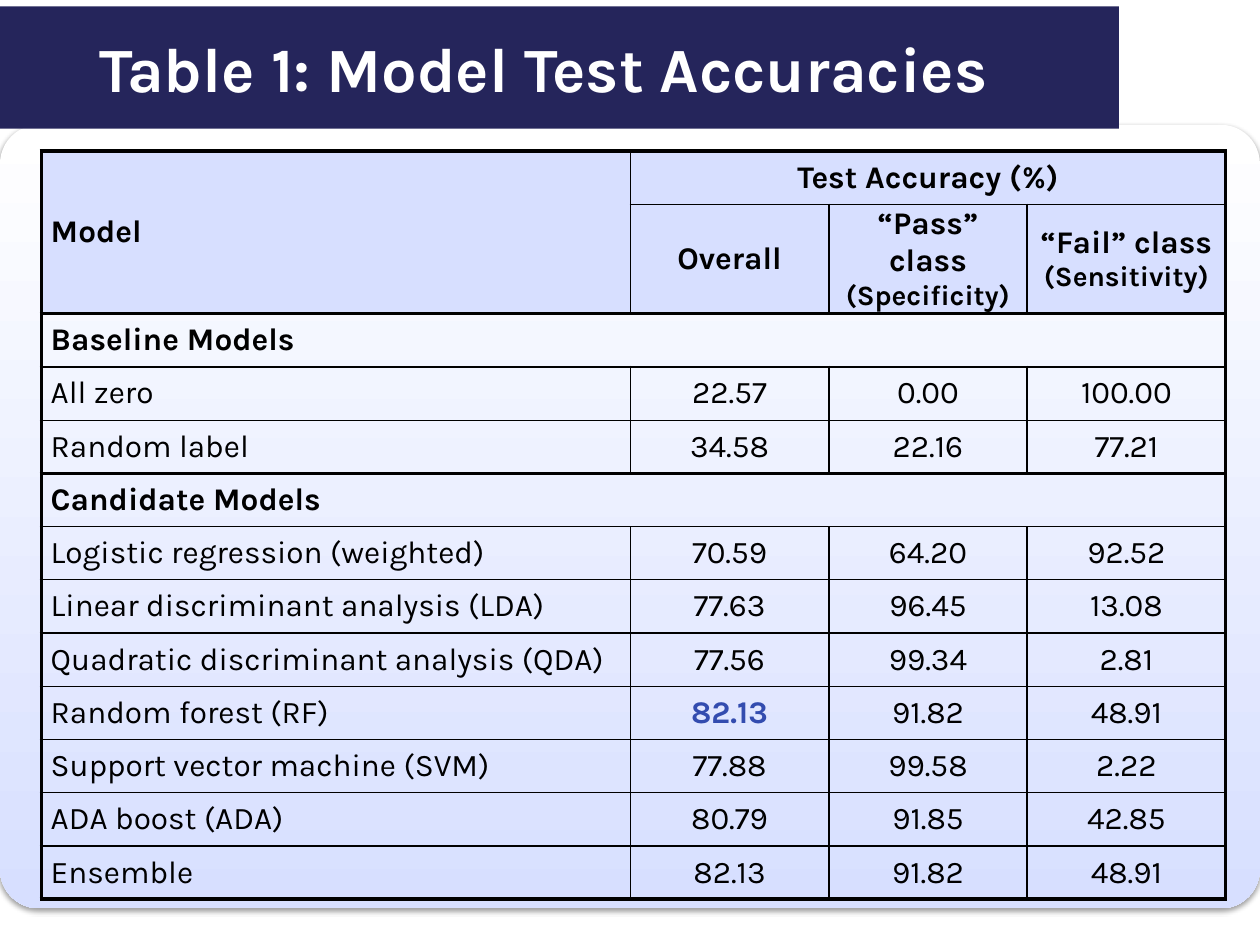
import pptx
import pptx.dml.color
import pptx.enum.shapes
import pptx.enum.text
import pptx.oxml
import pptx.oxml.ns
import pptx.util

Pt = pptx.util.Pt
NAMESPACE = pptx.oxml.ns.nsdecls("a")
CENTER = pptx.enum.text.PP_ALIGN.CENTER
LEFT = pptx.enum.text.PP_ALIGN.LEFT
MIDDLE = pptx.enum.text.MSO_ANCHOR.MIDDLE


def color(hex_string):
    return pptx.dml.color.RGBColor.from_string(hex_string)


def format_font(para, size, bold, hex_string):
    para.font.name = "Karla"
    para.font.size = Pt(size)
    para.font.bold = bold
    para.font.color.rgb = color(hex_string)


deck = pptx.Presentation()
deck.slide_width, deck.slide_height = Pt(720), Pt(540)
slide = deck.slides.add_slide(deck.slide_layouts[5])

title = slide.shapes.title
title.left, title.top, title.width, title.height = Pt(0), Pt(5.8), Pt(639.4), Pt(65.5)
title.element.spPr.append(pptx.oxml.parse_xml(
    f'<a:prstGeom {NAMESPACE} prst="round2SameRect"><a:avLst>'
    '<a:gd name="adj1" fmla="val 25200"/><a:gd name="adj2" fmla="val 0"/>'
    '</a:avLst></a:prstGeom>'))
title.fill.solid()
title.fill.fore_color.rgb = color("25255B")
frame = title.text_frame
frame.text = "Table 1: Model Test Accuracies"
frame.word_wrap = False
frame.auto_size = pptx.enum.text.MSO_AUTO_SIZE.SHAPE_TO_FIT_TEXT
frame.vertical_anchor = MIDDLE
frame.margin_left = frame.margin_right = Pt(56.9)
frame.margin_top = frame.margin_bottom = Pt(8.6)
frame.paragraphs[0].alignment = LEFT
format_font(frame.paragraphs[0], 36, True, "FFFFFF")

panel = slide.shapes.add_shape(
    pptx.enum.shapes.MSO_SHAPE.ROUNDED_RECTANGLE, Pt(0), Pt(71.3), Pt(720), Pt(447.8))
panel.adjustments[0] = 0.05
panel.line.fill.background()
panel.fill.gradient()
panel.fill.gradient_angle = 270
for stop, shade in zip(panel.fill.gradient_stops, ("FFFFFF", "D7DFFF")):
    stop.color.rgb = color(shade)
panel.shadow.inherit = False
effects = panel.element.spPr.find(pptx.oxml.ns.qn("a:effectLst"))
effects.append(pptx.oxml.parse_xml(
    f'<a:outerShdw {NAMESPACE} blurRad="{Pt(3.1)}" dist="{Pt(1.6)}" dir="5400000" '
    'algn="t" rotWithShape="0"><a:srgbClr val="000000"><a:alpha val="38000"/>'
    '</a:srgbClr></a:outerShdw>'))
title.element.addprevious(panel.element)

rows = [
    ["Model", "Test Accuracy (%)", "", ""],
    ["", "Overall", "“Pass” class\n(Specificity)", "“Fail” class\n(Sensitivity)"],
    ["Baseline Models", "", "", ""],
    ["All zero", "22.57", "0.00", "100.00"],
    ["Random label", "34.58", "22.16", "77.21"],
    ["Candidate Models", "", "", ""],
    ["Logistic regression (weighted)", "70.59", "64.20", "92.52"],
    ["Linear discriminant analysis (LDA)", "77.63", "96.45", "13.08"],
    ["Quadratic discriminant analysis (QDA)", "77.56", "99.34", "2.81"],
    ["Random forest (RF)", "82.13", "91.82", "48.91"],
    ["Support vector machine (SVM)", "77.88", "99.58", "2.22"],
    ["ADA boost (ADA)", "80.79", "91.85", "42.85"],
    ["Ensemble", "82.13", "91.82", "48.91"],
]
header_rows = (0, 1)
section_rows = (2, 5)
best_cell = (9, 1)
row_edges = [2.25, 1, 2.25, 1.5, 0.75, 2.25] + [0.75] * 7 + [2.25]

table = slide.shapes.add_table(
    len(rows), 4, Pt(23.6), Pt(86.4), Pt(676.8), Pt(408.3)).table
table.first_row = False
table.horz_banding = False
for column, width in zip(table.columns, (336.6, 113.4, 113.4, 113.4)):
    column.width = Pt(width)
for index, row in enumerate(table.rows):
    row.height = Pt(43.2 if index == 1 else 30.44)

table.cell(0, 0).merge(table.cell(1, 0))
table.cell(0, 1).merge(table.cell(0, 3))
for index in section_rows:
    table.cell(index, 0).merge(table.cell(index, 3))

for row_index, texts in enumerate(rows):
    if row_index in section_rows:
        column_edges = [2.25, 0, 0, 0, 2.25]
    elif row_index == 0:
        column_edges = [2.25, 1, 0, 0, 2.25]
    else:
        column_edges = [2.25, 1, 1, 1, 2.25]
    for column_index, text in enumerate(texts):
        cell = table.cell(row_index, column_index)
        span_width = cell.span_width if cell.is_merge_origin else 1
        span_height = cell.span_height if cell.is_merge_origin else 1
        inside_model = (row_index, column_index) == (1, 0)
        borders = {
            "L": column_edges[column_index],
            "R": column_edges[column_index + span_width],
            "T": 0 if inside_model else row_edges[row_index],
            "B": row_edges[row_index + span_height],
        }
        properties = cell._tc.get_or_add_tcPr()
        for side, width in borders.items():
            paint = '<a:solidFill><a:srgbClr val="000000"/></a:solidFill>' if width else "<a:noFill/>"
            properties.append(pptx.oxml.parse_xml(
                f'<a:ln{side} {NAMESPACE} w="{Pt(width)}">{paint}</a:ln{side}>'))
        if row_index in header_rows:
            cell.fill.solid()
            cell.fill.fore_color.rgb = color("D7DFFF")
        else:
            cell.fill.background()
        cell.vertical_anchor = MIDDLE
        cell.margin_left = cell.margin_right = Pt(5.4)
        cell.margin_top = cell.margin_bottom = Pt(0)
        if cell.is_spanned:
            continue
        is_best = (row_index, column_index) == best_cell
        bold = is_best or row_index in header_rows + section_rows
        cell.text = text
        for para_index, para in enumerate(cell.text_frame.paragraphs):
            para.alignment = CENTER if column_index else LEFT
            format_font(para, 16 if para_index else 18, bold, "334CAF" if is_best else "000000")

deck.save("out.pptx")
